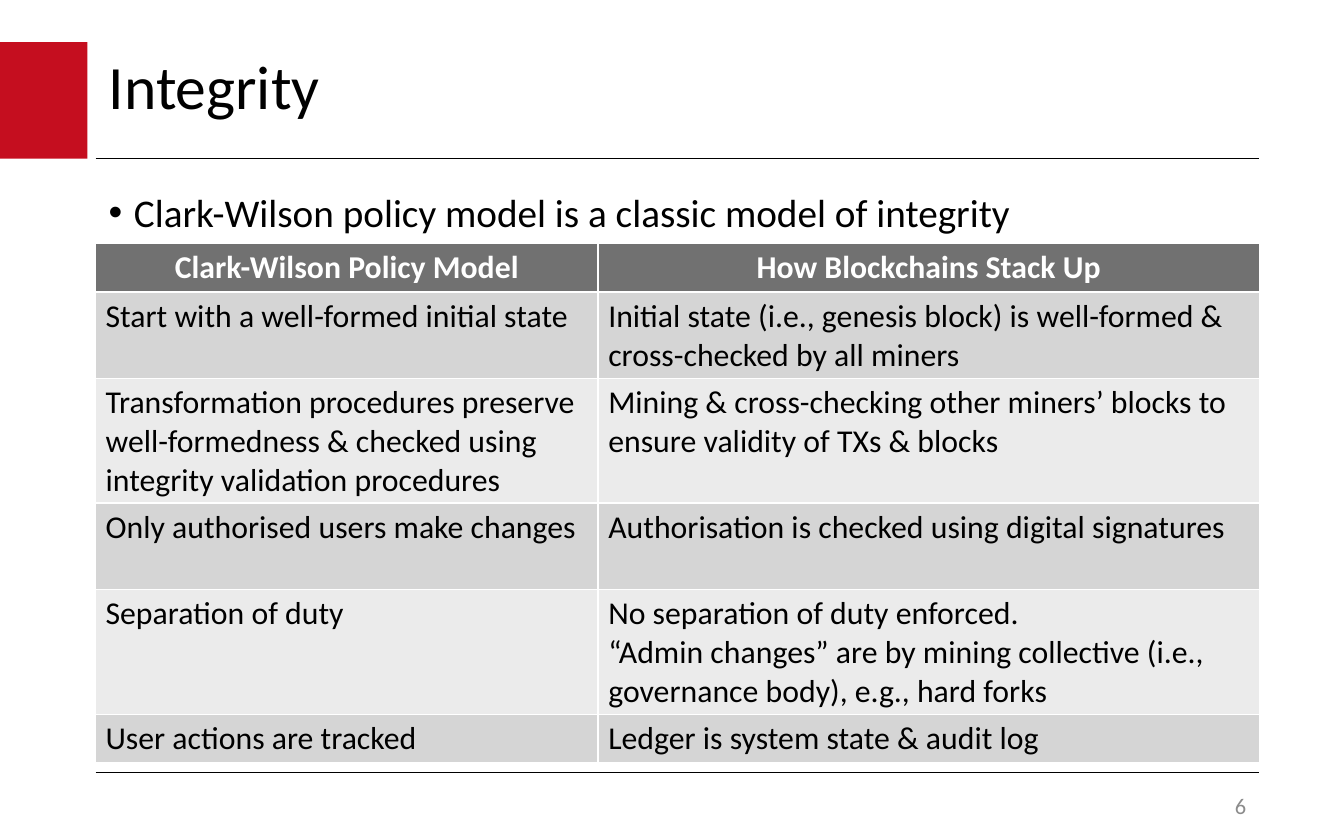
"""Build a slide comparing the Clark-Wilson integrity model with blockchains."""
import pptx
import pptx.dml.color
import pptx.enum.shapes
import pptx.enum.text
import pptx.oxml
import pptx.oxml.ns
import pptx.util
from lxml import etree

Pt = pptx.util.Pt
Align = pptx.enum.text.PP_ALIGN
Anchor = pptx.enum.text.MSO_ANCHOR


def color(value):
    return pptx.dml.color.RGBColor.from_string(value)


def write(frame, lines, ink, font, layout):
    for index, line in enumerate(lines):
        paragraph = frame.paragraphs[0] if index == 0 else frame.add_paragraph()
        for key, value in layout.items():
            setattr(paragraph, key, value)
        run = paragraph.add_run()
        run.text = line
        run.font.color.rgb = color(ink)
        for key, value in {"name": "Calibri", **font}.items():
            setattr(run.font, key, value)


deck = pptx.Presentation()
deck.slide_width, deck.slide_height = Pt(720), Pt(450)
slide = deck.slides.add_slide(deck.slide_layouts[6])
left, right = 51.2, 674.7

accent = slide.shapes.add_shape(
    pptx.enum.shapes.MSO_SHAPE.RECTANGLE, 0, Pt(22.5), Pt(46.8), Pt(62.5)
)
accent.shadow.inherit = False
accent.fill.solid()
accent.fill.fore_color.rgb = color("C50E1F")
accent.line.fill.background()

for y in (85, 413.8):
    rule = slide.shapes.add_connector(
        pptx.enum.shapes.MSO_CONNECTOR.STRAIGHT, Pt(left), Pt(y), Pt(right), Pt(y)
    )
    rule.line.color.rgb = color("000000")
    rule.line.width = Pt(0.75)
    etree.SubElement(rule._element.spPr, pptx.oxml.ns.qn("a:effectLst"))

tight = {"line_spacing": 0.9}
texts = [
    ("Clark-Wilson policy model is a classic model of integrity", (left, 100, 623, 291),
     "000000", 21, Anchor.TOP, {**tight, "space_before": Pt(7.5)}),
    ("Integrity", (left, 22.5, 522, 51), "000000", 33, Anchor.MIDDLE, tight),
    ("6", (528.5, 422.6, 146.2, 18), "8C8C8C", 12, Anchor.MIDDLE, {"alignment": Align.RIGHT}),
]
frames = []
for words, place, ink, size, anchor, layout in texts:
    frame = slide.shapes.add_textbox(*map(Pt, place)).text_frame
    frame.word_wrap = True
    frame.vertical_anchor = anchor
    write(frame, [words], ink, {"size": Pt(size)}, layout)
    frames.append(frame)

statement = frames[0].paragraphs[0]._p.get_or_add_pPr()
statement.set("marL", str(Pt(13.5)))
statement.set("indent", str(Pt(-13.5)))
for tag, key, value in (("a:buFont", "typeface", "Arial"), ("a:buChar", "char", "•")):
    etree.SubElement(statement, pptx.oxml.ns.qn(tag)).set(key, value)

comparison = [
    (["Clark-Wilson Policy Model"], ["How Blockchains Stack Up"]),
    (["Start with a well-formed initial state"],
     ["Initial state (i.e., genesis block) is well-formed & cross-checked by all miners"]),
    (["Transformation procedures preserve well-formedness & checked using "
      "integrity validation procedures"],
     ["Mining & cross-checking other miners’ blocks to ensure validity of TXs & blocks"]),
    (["Only authorised users make changes"],
     ["Authorisation is checked using digital signatures"]),
    (["Separation of duty"],
     ["No separation of duty enforced.",
      "“Admin changes” are by mining collective (i.e., governance body), e.g., hard forks"]),
    (["User actions are tracked"], ["Ledger is system state & audit log"]),
]
widths = (269.3, 354.2)
heights = (26, 46.3, 65.6, 46.3, 67, 26)
table = slide.shapes.add_table(
    len(heights), len(widths), Pt(left), Pt(130.5), Pt(sum(widths)), Pt(sum(heights))
).table
for column, width in zip(table.columns, widths):
    column.width = Pt(width)

margins = {"margin_left": Pt(5.4), "margin_right": Pt(5.4),
           "margin_top": Pt(2.7), "margin_bottom": Pt(2.7)}
for number, (row, height, entries) in enumerate(zip(table.rows, heights, comparison)):
    row.height = Pt(height)
    heading = number == 0
    shade = "717171" if heading else ("EBEBEB", "D5D5D5")[number % 2]
    for cell, lines in zip(row.cells, entries):
        for key, value in margins.items():
            setattr(cell, key, value)
        cell.fill.solid()
        cell.fill.fore_color.rgb = color(shade)
        write(cell.text_frame, lines, "FFFFFF" if heading else "000000",
              {"size": Pt(17), "bold": heading},
              {"alignment": Align.CENTER if heading else Align.LEFT})

deck.save("out.pptx")
